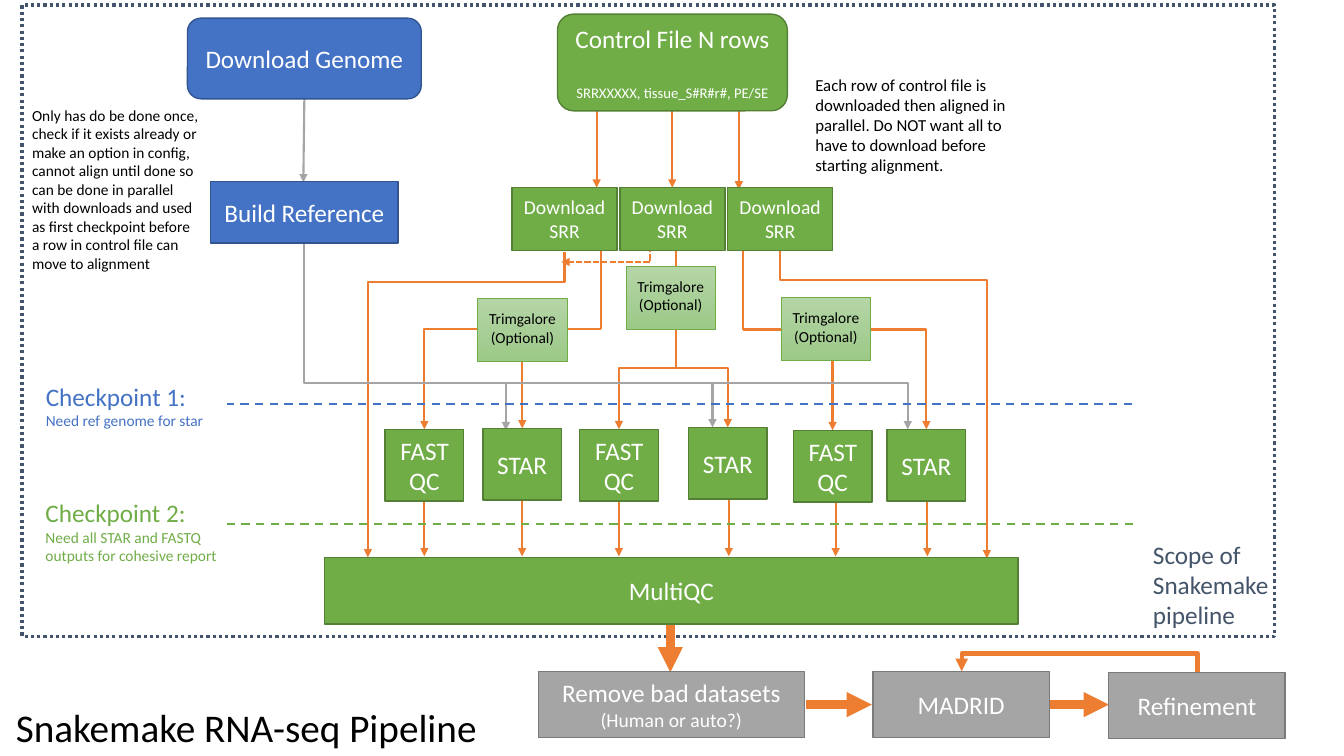
from dataclasses import dataclass
from typing import Optional

from lxml.etree import SubElement
from pptx import Presentation
from pptx.dml.color import RGBColor
from pptx.enum.dml import MSO_LINE as Dash
from pptx.enum.shapes import MSO_CONNECTOR as Link, MSO_SHAPE as Preset
from pptx.enum.text import MSO_ANCHOR as Anchor, PP_ALIGN as Align
from pptx.oxml.ns import qn
from pptx.shapes.connector import Connector
from pptx.slide import Slide
from pptx.text.text import TextFrame
from pptx.util import Pt

Point = tuple[float, float]
Area = tuple[float, float, float, float]


@dataclass(frozen=True)
class Theme:
    font: str = "Calibri"
    white: str = "FFFFFF"
    black: str = "000000"
    green: str = "70AD47"
    green_edge: str = "538035"
    pale_top: str = "B5D5A7"
    pale_bottom: str = "9CC987"
    blue: str = "4472C4"
    blue_edge: str = "325491"
    gray: str = "A5A5A5"
    gray_edge: str = "7A7A7A"
    orange: str = "ED7D31"
    slate: str = "44546A"
    title: float = 28
    label: float = 18
    medium: float = 14
    note: float = 12
    small: float = 11
    tiny: float = 10.5


THEME = Theme()


@dataclass(frozen=True)
class Line:
    text: str
    size: float = THEME.label
    space_before: float = 0


@dataclass(frozen=True)
class Box:
    area: Area
    lines: tuple[Line, ...]
    fill: str = THEME.green
    edge: str = THEME.green_edge
    preset: Preset = Preset.RECTANGLE


@dataclass(frozen=True)
class Note:
    area: Area
    lines: tuple[Line, ...]
    color: str = THEME.black


@dataclass(frozen=True)
class Straight:
    begin: Point
    end: Point
    color: str = THEME.orange
    width: float = 1.5
    dash: Optional[Dash] = None
    arrow: bool = True


@dataclass(frozen=True)
class Elbow(Straight):
    bend_x: Optional[float] = None
    bend_y: Optional[float] = None


def write(frame: TextFrame, lines: tuple[Line, ...], color: str, align: Align) -> None:
    frame.word_wrap = True
    for index, line in enumerate(lines):
        paragraph = frame.paragraphs[0] if index == 0 else frame.add_paragraph()
        paragraph.alignment = align
        paragraph.space_before = Pt(line.space_before)
        run = paragraph.add_run()
        run.text = line.text
        run.font.name = THEME.font
        run.font.size = Pt(line.size)
        run.font.color.rgb = RGBColor.from_string(color)


def draw_box(slide: Slide, box: Box) -> None:
    shape = slide.shapes.add_shape(box.preset, *map(Pt, box.area))
    shape.shadow.inherit = False
    shape.fill.solid()
    shape.fill.fore_color.rgb = RGBColor.from_string(box.fill)
    shape.line.color.rgb = RGBColor.from_string(box.edge)
    shape.line.width = Pt(1)
    shape.text_frame.vertical_anchor = Anchor.MIDDLE
    write(shape.text_frame, box.lines, THEME.white, Align.CENTER)


def draw_trimgalore(slide: Slide, left: float, top: float) -> None:
    shape = slide.shapes.add_shape(Preset.RECTANGLE, *map(Pt, (left, top, 64, 45.4)))
    shape.shadow.inherit = False
    shape.fill.gradient()
    shape.fill.gradient_angle = 270
    for stop, color in zip(shape.fill.gradient_stops, (THEME.pale_top, THEME.pale_bottom)):
        stop.color.rgb = RGBColor.from_string(color)
    shape.line.color.rgb = RGBColor.from_string(THEME.green)
    shape.line.width = Pt(0.5)
    frame = shape.text_frame
    frame.vertical_anchor = Anchor.MIDDLE
    frame.margin_bottom = Pt(7)
    lines = (Line("Trimgalore", THEME.small), Line("(Optional)", THEME.small))
    write(frame, lines, THEME.black, Align.CENTER)


def draw_note(slide: Slide, note: Note) -> None:
    shape = slide.shapes.add_textbox(*map(Pt, note.area))
    write(shape.text_frame, note.lines, note.color, Align.LEFT)


def draw_scope(slide: Slide) -> None:
    shape = slide.shapes.add_shape(Preset.RECTANGLE, *map(Pt, (15.7, 3.6, 895, 450.8)))
    shape.shadow.inherit = False
    shape.fill.background()
    shape.line.color.rgb = RGBColor.from_string(THEME.slate)
    shape.line.width = Pt(2.25)
    shape.line.dash_style = Dash.ROUND_DOT


def bend(connector: Connector, elbow: Elbow) -> None:
    (x1, y1), (x2, y2) = elbow.begin, elbow.end
    across, down = x2 - x1, y2 - y1
    transform = connector._element.spPr.find(qn("a:xfrm"))
    geometry = connector._element.spPr.find(qn("a:prstGeom"))
    turn, flip = (180, "flipV") if across < 0 else (0, None)
    ratio = None
    if elbow.bend_y is not None:
        ratio = (elbow.bend_y - y1) / down
        if down < 0:
            turn, flip = 270, "flipV"
        else:
            turn, flip = (90, None) if across < 0 else (270, "flipH")
        width, height = abs(down), abs(across)
        connector.left, connector.top = Pt((x1 + x2 - width) / 2), Pt((y1 + y2 - height) / 2)
        connector.width, connector.height = Pt(width), Pt(height)
    elif elbow.bend_x is not None:
        ratio = (elbow.bend_x - x1) / across
    else:
        geometry.set("prst", "bentConnector2")
    for name in ("flipH", "flipV"):
        transform.attrib.pop(name, None)
    transform.set("rot", str(turn * 60000))
    if flip:
        transform.set(flip, "1")
    if ratio is not None:
        guides = geometry.find(qn("a:avLst"))
        SubElement(guides, qn("a:gd"), name="adj1", fmla=f"val {round(ratio * 100000)}")


def draw_link(slide: Slide, link: Straight) -> None:
    kind = Link.ELBOW if isinstance(link, Elbow) else Link.STRAIGHT
    connector = slide.shapes.add_connector(kind, *map(Pt, link.begin + link.end))
    if isinstance(link, Elbow):
        bend(connector, link)
    connector.line.color.rgb = RGBColor.from_string(link.color)
    connector.line.width = Pt(link.width)
    if link.dash:
        connector.line.dash_style = link.dash
    properties = connector._element.spPr
    if link.arrow:
        SubElement(properties.find(qn("a:ln")), qn("a:tailEnd"), type="triangle")
    SubElement(properties, qn("a:effectLst"))


LINKS = [
    *(Straight((x, 79.2), (x, y)) for x, y in ((426.2, 134), (480.2, 134), (527.8, 135.4))),
    *(Straight((x, 179.3), (x, y), arrow=False) for x, y in ((429.1, 235), (483.1, 261), (530.6, 235.4))),
    *(Straight((x, 357), (x, 397.4)) for x in (303.1, 373, 442.1, 520.6, 596.9, 662.4)),
    *(Elbow((429.1, 235), end) for end in ((303.1, 306.7), (373, 306))),
    *(Elbow((530.6, 235.4), end) for end in ((661.7, 306.7), (594.7, 307.4))),
    Elbow((482.8, 258.5), (442.1, 306.7), bend_y=262.8),
    Elbow((483.1, 259.9), (519.8, 305.3), bend_y=262.8),
    Elbow((403.2, 180), (262.8, 398.2), bend_y=201.6),
    Elbow((557.3, 178.6), (704.9, 398.9), bend_y=200.2),
    Elbow((462.2, 177.8), (401, 187.2), dash=Dash.SQUARE_DOT, bend_x=464.4),
    Straight((217.4, 70.6), (216.7, 130.3), THEME.gray),
    Elbow((217.4, 139.7), (361.4, 307.4), THEME.gray, bend_y=273.6),
    *(Elbow((218.5, 273.6), end, THEME.gray) for end in ((509, 305.3), (648.4, 306.7))),
    Straight((808.6, 288.7), (162, 288.7), THEME.blue, dash=Dash.DASH, arrow=False),
    Straight((809.3, 374.4), (162, 374.4), THEME.green, dash=Dash.DASH, arrow=False),
    Straight((478.8, 445.7), (478.8, 480.2), width=6),
    Straight((576, 503.3), (622.8, 503.3), width=6),
    Straight((750.2, 503.3), (792, 503.3), width=6),
    Elbow((855.4, 480.24), (686.9, 479.52), width=3, bend_y=466.56),
]
BOXES = [
    Box((398.2, 10.1, 164.2, 69.1), (Line("Control File N rows"),
        Line("SRRXXXXX, tissue_S#R#r#, PE/SE", THEME.tiny, 22)), preset=Preset.ROUNDED_RECTANGLE),
    Box((133.9, 13, 167, 57.6), (Line("Download Genome"),), THEME.blue, THEME.blue_edge, Preset.ROUNDED_RECTANGLE),
    Box((150.5, 129.6, 133.9, 43.9), (Line("Build Reference"),), THEME.blue, THEME.blue_edge),
    *(Box((365.8 + 77 * i, 134, 75, 44.8), (Line("Download SRR", THEME.medium),)) for i in range(3)),
    *(Box((x, y, 56.2, 51.1), (Line("FASTQC"),)) for x, y in ((275, 306.7), (414, 306.7), (566.6, 307.4))),
    *(Box((x, y, 56.2, 51.1), (Line("STAR"),)) for x, y in ((344.9, 306), (491.8, 305.3), (633.6, 306.7))),
    Box((231.8, 398.2, 495.4, 47.5), (Line("MultiQC"),)),
    Box((384.5, 479.5, 190.1, 47.5), (Line("Remove bad datasets"), Line("(Human or auto?)", THEME.medium)),
        THEME.gray, THEME.gray_edge),
    Box((623.5, 479.5, 126, 47.5), (Line("MADRID"),), THEME.gray, THEME.gray_edge),
    Box((792, 480.2, 126, 47.5), (Line("Refinement"),), THEME.gray, THEME.gray_edge),
]
NOTES = [
    Note((575.3, 49.7, 164.2, 80), (Line("Each row of control file is downloaded then aligned in parallel. "
         "Do NOT want all to have to download before starting alignment.", THEME.note),)),
    Note((15.8, 72, 133.2, 127.4), (Line("Only has do be done once, check if it exists already or make an "
         "option in config, cannot align until done so can be done in parallel with downloads and used as "
         "first checkpoint before a row in control file can move to alignment", THEME.small),)),
    Note((25.6, 268.6, 140.4, 42.5), (Line("Checkpoint 1:"), Line("Need ref genome for star", THEME.small)), THEME.blue),
    Note((25.4, 351.8, 140.4, 55.4), (Line("Checkpoint 2:"),
         Line("Need all STAR and FASTQ outputs for cohesive report", THEME.small)), THEME.green),
    Note((816.5, 381.6, 141.8, 72.7), (Line("Scope of Snakemake pipeline"),), THEME.slate),
    Note((4.3, 499, 345.6, 41), (Line("Snakemake RNA-seq Pipeline", THEME.title),)),
]


def main() -> None:
    presentation = Presentation()
    presentation.slide_width, presentation.slide_height = Pt(960), Pt(540)
    slide = presentation.slides.add_slide(presentation.slide_layouts[6])
    draw_scope(slide)
    for link in LINKS:
        draw_link(slide, link)
    for box in BOXES:
        draw_box(slide, box)
    for left, top in ((341.3, 213.1), (558, 212.4), (447.1, 190.1)):
        draw_trimgalore(slide, left, top)
    for note in NOTES:
        draw_note(slide, note)
    presentation.save("out.pptx")


if __name__ == "__main__":
    main()
